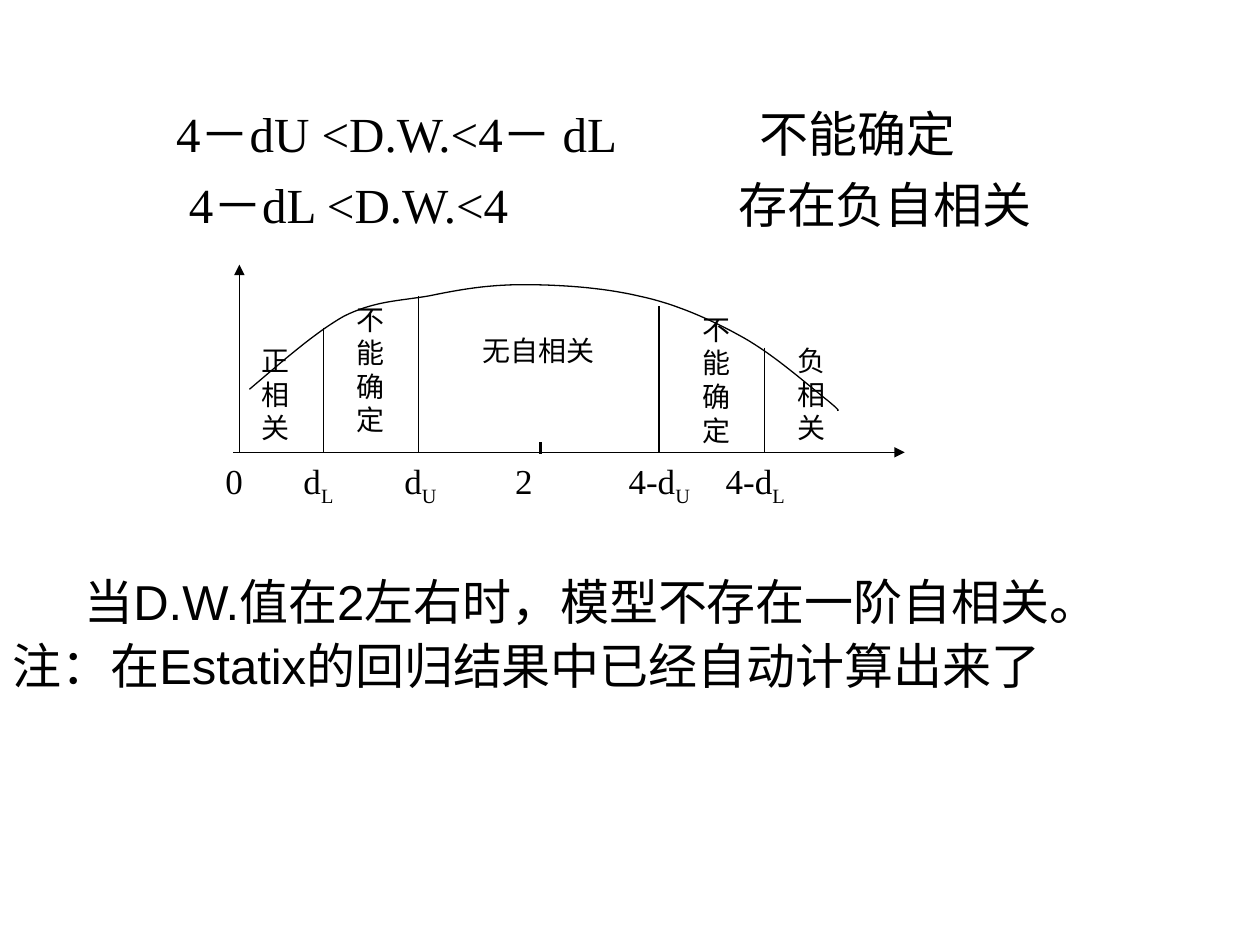
from typing import NamedTuple

from lxml.etree import SubElement
from pptx import Presentation
from pptx.dml.color import RGBColor
from pptx.enum.shapes import MSO_CONNECTOR
from pptx.enum.text import MSO_ANCHOR, MSO_AUTO_SIZE, PP_ALIGN
from pptx.oxml.ns import qn
from pptx.util import Inches, Pt

BLACK = "000000"
SERIF = "Times New Roman"
SANS = "Arial"
AXIS_Y = 3.59
SUBSCRIPT = "-25000"
CURVE_STEPS = 16


class Line(NamedTuple):
    start: tuple[float, float]
    end: tuple[float, float]
    width: float = 0.75
    arrow: bool = False


class Zone(NamedTuple):
    text: str
    left: float
    top: float
    width: float
    height: float


class AxisLabel(NamedTuple):
    text: str
    subscript: str = ""


AXES = [
    Line((1.9, AXIS_Y), (1.9, 2.1), arrow=True),
    Line((1.85, AXIS_Y), (7.18, AXIS_Y), arrow=True),
]
BOUNDARIES = [
    Line((x, top), (x, AXIS_Y))
    for x, top in [(2.57, 2.6), (3.32, 2.35), (5.23, 2.43), (6.07, 2.76)]
]
CENTRE_TICK = Line((4.29, 3.51), (4.29, 3.6), width=2.25)

ZONES = [
    Zone("正相关", 1.98, 2.68, 0.5, 0.9),
    Zone("不能确定", 2.73, 2.35, 0.42, 1.17),
    Zone("无自相关", 3.73, 2.6, 1.25, 0.37),
    Zone("不能确定", 5.48, 2.43, 0.42, 1.17),
    Zone("负相关", 6.23, 2.68, 0.5, 0.9),
]
AXIS_LABELS = [
    AxisLabel("0"), AxisLabel("d", "L"), AxisLabel("d", "U"),
    AxisLabel("2"), AxisLabel("4-d", "U"), AxisLabel("4-d", "L"),
]
AXIS_LABEL_TABS = [0.62, 1.42, 2.3, 3.2, 3.97]

RULES = [
    ("4－dU <D.W.<4－ dL\t不能确定", [4.63]),
    ("\t4－dL <D.W.<4\t存在负自相关", [0.1, 4.46]),
]
CURVE_START = (1.98, 3.09)
CURVE_SEGMENTS = [
    ((2.24, 2.87), (2.5, 2.64), (2.73, 2.51)),
    ((2.97, 2.39), (3.16, 2.39), (3.4, 2.35)),
    ((3.64, 2.3), (3.87, 2.26), (4.15, 2.26)),
    ((4.43, 2.26), (4.77, 2.28), (5.07, 2.35)),
    ((5.36, 2.41), (5.65, 2.54), (5.9, 2.68)),
    ((6.15, 2.82), (6.44, 3.08), (6.57, 3.18)),
    ((6.69, 3.28), (6.64, 3.25), (6.65, 3.26)),
]


def color(value: str) -> RGBColor:
    return RGBColor.from_string(value)


def add_line(shapes, line: Line) -> None:
    points = [Inches(value) for value in (*line.start, *line.end)]
    connector = shapes.add_connector(MSO_CONNECTOR.STRAIGHT, *points)
    connector.line.color.rgb = color(BLACK)
    connector.line.width = Pt(line.width)
    if line.arrow:
        SubElement(connector.line._get_or_add_ln(), qn("a:tailEnd"), type="triangle")
    SubElement(connector._element.spPr, qn("a:effectLst"))


def add_text_frame(shapes, left: float, top: float, width: float, height: float):
    box = shapes.add_textbox(Inches(left), Inches(top), Inches(width), Inches(height))
    box.text_frame.word_wrap = True
    return box.text_frame


def add_run(paragraph, text: str, size: float, font: str = SERIF, subscript: bool = False) -> None:
    run = paragraph.add_run()
    run.text = text
    run.font.size = Pt(size)
    run.font.name = font
    run.font.color.rgb = color(BLACK)
    if subscript:
        run.font._element.set("baseline", SUBSCRIPT)


def set_tabs(paragraph, stops: list[float]) -> None:
    tab_list = SubElement(paragraph._p.get_or_add_pPr(), qn("a:tabLst"))
    for stop in stops:
        SubElement(tab_list, qn("a:tab"), pos=str(Inches(stop)), algn="l")


def curve_points() -> list[tuple[float, float]]:
    """Sample the chain of cubic Bézier segments."""
    points = [CURVE_START]
    for first, second, end in CURVE_SEGMENTS:
        start = points[-1]
        for step in range(1, CURVE_STEPS + 1):
            t = step / CURVE_STEPS
            u = 1 - t
            points.append(tuple(
                u**3 * a + 3 * u**2 * t * b + 3 * u * t**2 * c + t**3 * d
                for a, b, c, d in zip(start, first, second, end)
            ))
    return points


def add_curve(shapes) -> None:
    start, *rest = [(Inches(x), Inches(y)) for x, y in curve_points()]
    builder = shapes.build_freeform(*start)
    builder.add_line_segments(rest, close=False)
    curve = builder.convert_to_shape()
    curve.fill.background()
    curve.line.color.rgb = color(BLACK)
    curve.line.width = Pt(0.75)
    curve.shadow.inherit = False


def add_axis_labels(shapes) -> None:
    paragraph = add_text_frame(shapes, 1.69, 3.6, 5.75, 0.48).paragraphs[0]
    set_tabs(paragraph, AXIS_LABEL_TABS)
    for index, label in enumerate(AXIS_LABELS):
        add_run(paragraph, ("\t" if index else "") + label.text, 20)
        if label.subscript:
            add_run(paragraph, label.subscript, 20, subscript=True)


def add_diagram(slide) -> None:
    shapes = slide.shapes.add_group_shape().shapes
    for line in AXES + BOUNDARIES:
        add_line(shapes, line)
    add_curve(shapes)
    for zone in ZONES:
        frame = add_text_frame(shapes, *zone[1:])
        add_run(frame.paragraphs[0], zone.text, 16)
    add_axis_labels(shapes)
    add_line(slide.shapes, CENTRE_TICK)


def add_rules(slide) -> None:
    frame = add_text_frame(slide.shapes, 1.3, 0.68, 7.01, 1.78)
    for index, (text, stops) in enumerate(RULES):
        paragraph = frame.add_paragraph() if index else frame.paragraphs[0]
        paragraph.line_spacing = 1.2
        set_tabs(paragraph, stops)
        add_run(paragraph, text, 28)


def fill_title(slide) -> None:
    title = slide.shapes.title
    title.left, title.top = Inches(0), Inches(4.62)
    title.width, title.height = Inches(9.42), Inches(0.58)
    frame = title.text_frame
    frame.word_wrap = True
    frame.auto_size = MSO_AUTO_SIZE.NONE
    frame.vertical_anchor = MSO_ANCHOR.MIDDLE
    paragraph = frame.paragraphs[0]
    paragraph.alignment = PP_ALIGN.LEFT
    set_tabs(paragraph, [0.57])
    add_run(paragraph, "\t", 44, SANS)
    add_run(paragraph, "当D.W.值在2左右时，模型不存在一阶自相关。", 28, SANS)
    paragraph.add_line_break()
    add_run(paragraph, "注：在Estatix的回归结果中已经自动计算出来了", 28, SANS)


def main() -> None:
    presentation = Presentation()
    presentation.slide_width, presentation.slide_height = Inches(10), Inches(7.5)
    slide = presentation.slides.add_slide(presentation.slide_layouts[5])
    add_diagram(slide)
    add_rules(slide)
    fill_title(slide)
    presentation.save("out.pptx")


if __name__ == "__main__":
    main()
